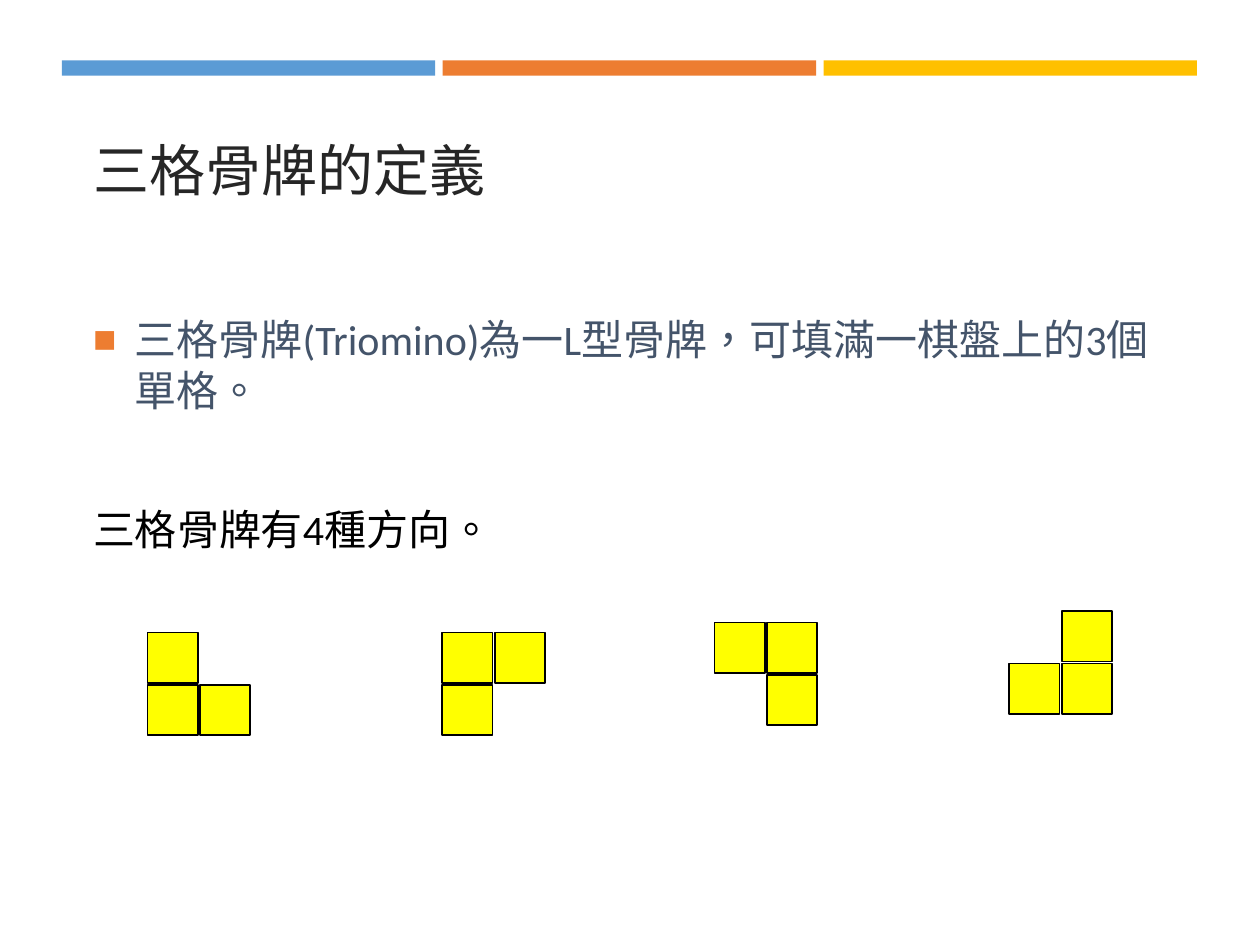
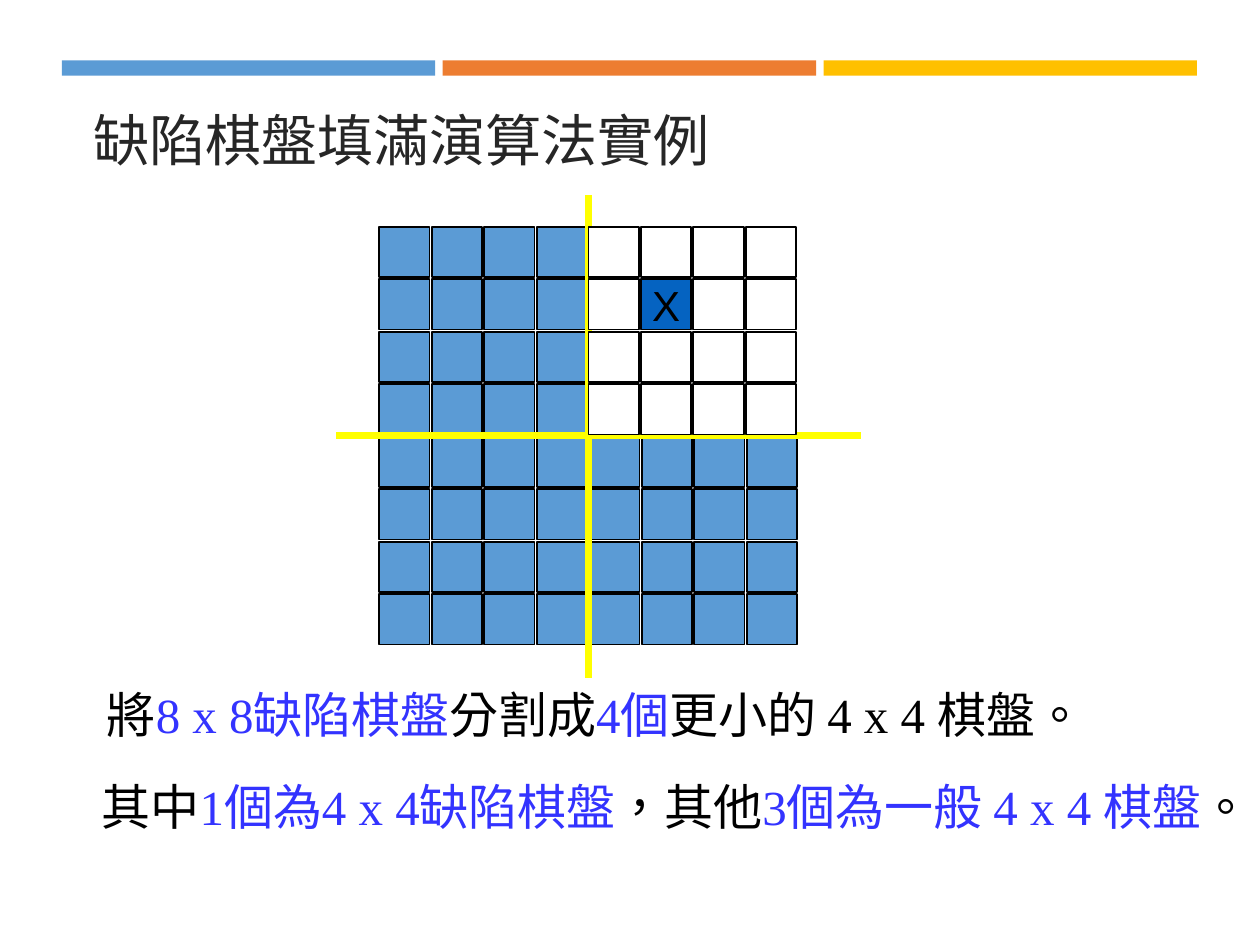
"""Build two slides about triominoes and the defective chessboard."""
from dataclasses import dataclass
from itertools import product

from lxml import etree
from pptx import Presentation
from pptx.dml.color import RGBColor
from pptx.enum import lang, shapes, text
from pptx.oxml.ns import qn
from pptx.util import Inches, Pt


@dataclass(frozen=True)
class Theme:
    """Colours, fonts and type sizes shared by the slides."""
    bars: tuple = ("5B9BD5", "ED7D31", "FFC000")
    title: str = "262626"
    body: str = "44546A"
    black: str = "000000"
    white: str = "FFFFFF"
    yellow: str = "FFFF00"
    highlight: str = "3333FF"
    board: str = "5B9BD5"
    defect: str = "0563C1"
    bullet: str = "ED7D31"
    main_font: str = "Calibri"
    caption_font: str = "Times New Roman"
    mark_font: str = "Arial"
    title_size: int = 32
    body_size: int = 24
    caption_size: int = 28


THEME = Theme()
CELL_SIZE = 0.4
CELL_PITCH = 5 / 12
BOARD_LEFT, BOARD_TOP, BOARD_CELLS = 3.01, 1.8, 8


def add_run(paragraph, words, font, size, colour):
    """Append one formatted run to a paragraph."""
    run = paragraph.add_run()
    run.text = words
    run.font.name = font
    run.font.size = Pt(size)
    run.font.color.rgb = RGBColor.from_string(colour)
    run.font.language_id = lang.MSO_LANGUAGE_ID.TRADITIONAL_CHINESE


def add_text_box(slide, left, top, width, height):
    """Add a wrapping text box and return its text frame."""
    box = slide.shapes.add_textbox(*map(Inches, (left, top, width, height)))
    box.text_frame.word_wrap = True
    return box.text_frame


def add_rectangle(container, left, top, width, height, fill, outlined=False):
    """Add a flat rectangle, with a thin black outline if asked."""
    rectangle = container.shapes.add_shape(
        shapes.MSO_SHAPE.RECTANGLE, *map(Inches, (left, top, width, height)))
    rectangle.shadow.inherit = False
    rectangle.fill.solid()
    rectangle.fill.fore_color.rgb = RGBColor.from_string(fill)
    if outlined:
        rectangle.line.color.rgb = RGBColor.from_string(THEME.black)
        rectangle.line.width = Pt(1)
    else:
        rectangle.line.fill.background()
    return rectangle


def add_cells(slide, left, top, cells):
    """Add a group of squares from a {(row, column): colour} mapping."""
    group = slide.shapes.add_group_shape()
    return {
        (row, column): add_rectangle(
            group, left + column * CELL_PITCH, top + row * CELL_PITCH,
            CELL_SIZE, CELL_SIZE, colour, outlined=True)
        for (row, column), colour in cells.items()
    }


def add_triomino(slide, left, top, missing):
    """Add a 2 x 2 block of squares with one left out."""
    cells = dict.fromkeys(product(range(2), repeat=2), THEME.yellow)
    del cells[missing]
    add_cells(slide, left, top, cells)


def add_divider(slide, start, end):
    """Add a thick yellow line between two points."""
    divider = slide.shapes.add_connector(
        shapes.MSO_CONNECTOR.STRAIGHT, *map(Inches, start + end))
    divider.line.color.rgb = RGBColor.from_string(THEME.yellow)
    divider.line.width = Pt(4)
    etree.SubElement(divider._element.spPr, qn("a:effectLst"))


def set_bullet(paragraph):
    """Give a paragraph a hanging indent and a square bullet."""
    properties = paragraph._p.get_or_add_pPr()
    properties.set("marL", str(Inches(0.33)))
    properties.set("indent", str(-Inches(0.33)))
    colour = etree.SubElement(properties, qn("a:buClr"))
    etree.SubElement(colour, qn("a:srgbClr"), val=THEME.bullet)
    etree.SubElement(properties, qn("a:buSzPct"), val="92000")
    etree.SubElement(properties, qn("a:buFont"), typeface="Arial")
    etree.SubElement(properties, qn("a:buChar"), char="■")


def add_caption(slide, left, top, width, pieces):
    """Add a caption whose pieces alternate between black and highlight."""
    frame = add_text_box(slide, left, top, width, 0.57)
    for index, words in enumerate(pieces):
        colour = THEME.highlight if index % 2 else THEME.black
        add_run(frame.paragraphs[0], words, THEME.caption_font,
                THEME.caption_size, colour)


def add_titled_slide(presentation, title, title_height):
    """Add a blank slide with the three bars and a title."""
    slide = presentation.slides.add_slide(presentation.slide_layouts[6])
    gap = 0.06
    width = (9.01 - 2 * gap) / 3
    for index, colour in enumerate(THEME.bars):
        add_rectangle(slide, 0.49 + index * (width + gap), 0.48, width, 0.12,
                      colour)
    frame = add_text_box(slide, 0.64, 0.75, 8.74, title_height)
    frame.vertical_anchor = text.MSO_ANCHOR.MIDDLE
    add_run(frame.paragraphs[0], title, THEME.main_font, THEME.title_size,
            THEME.title)
    return slide


def build_definition(presentation):
    """Build the slide that defines the triomino."""
    slide = add_titled_slide(presentation, "三格骨牌的定義", 1.18)
    frame = add_text_box(slide, 0.64, 2.44, 8.74, 3.97)
    definition = frame.paragraphs[0]
    definition.space_after = Pt(6)
    set_bullet(definition)
    add_run(definition, "三格骨牌(Triomino)為一L型骨牌，可填滿一棋盤上的3個單格。",
            THEME.main_font, THEME.body_size, THEME.body)
    directions = frame.add_paragraph()
    directions.space_before = Pt(45)
    add_run(directions, "三格骨牌有4種方向。", THEME.main_font,
            THEME.body_size, THEME.black)
    for left, top, missing in ((1.17, 5.02, (0, 1)), (3.51, 5.02, (1, 1)),
                               (5.67, 4.94, (1, 0)), (8.01, 4.85, (0, 0))):
        add_triomino(slide, left, top, missing)


def build_example(presentation):
    """Build the slide that splits the defective chessboard."""
    slide = add_titled_slide(presentation, "缺陷棋盤填滿演算法實例", 0.71)
    half = BOARD_CELLS // 2
    board = {(row, column): THEME.board
             for row, column in product(range(BOARD_CELLS), repeat=2)
             if row >= half or column < half}
    add_cells(slide, BOARD_LEFT, BOARD_TOP, board)
    middle_x, middle_y = 4.67, 3.46
    add_divider(slide, (middle_x, 1.55), (middle_x, 5.38))
    add_divider(slide, (2.67, middle_y), (6.83, middle_y))

    quarter = dict.fromkeys(product(range(half), repeat=2), THEME.white)
    defect = (1, 1)
    quarter[defect] = THEME.defect
    frame = add_cells(slide, middle_x, BOARD_TOP, quarter)[defect].text_frame
    frame.word_wrap = False
    frame.vertical_anchor = text.MSO_ANCHOR.MIDDLE
    frame.paragraphs[0].alignment = text.PP_ALIGN.CENTER
    add_run(frame.paragraphs[0], "X", THEME.mark_font, THEME.body_size,
            THEME.black)

    add_caption(slide, 0.75, 5.38, 8.92,
                ("將", "8 x 8缺陷棋盤", "分割成", "4個", "更小的 4 x 4 棋盤。"))
    add_caption(slide, 0.71, 6.11, 9.1,
                ("其中", "1個為4 x 4缺陷棋盤", "，其他",
                 "3個為一般 4 x 4 棋盤", "。"))


def main():
    """Create and save the presentation."""
    presentation = Presentation()
    presentation.slide_width = Inches(10)
    presentation.slide_height = Inches(7.5)
    build_definition(presentation)
    build_example(presentation)
    presentation.save("out.pptx")


if __name__ == "__main__":
    main()
